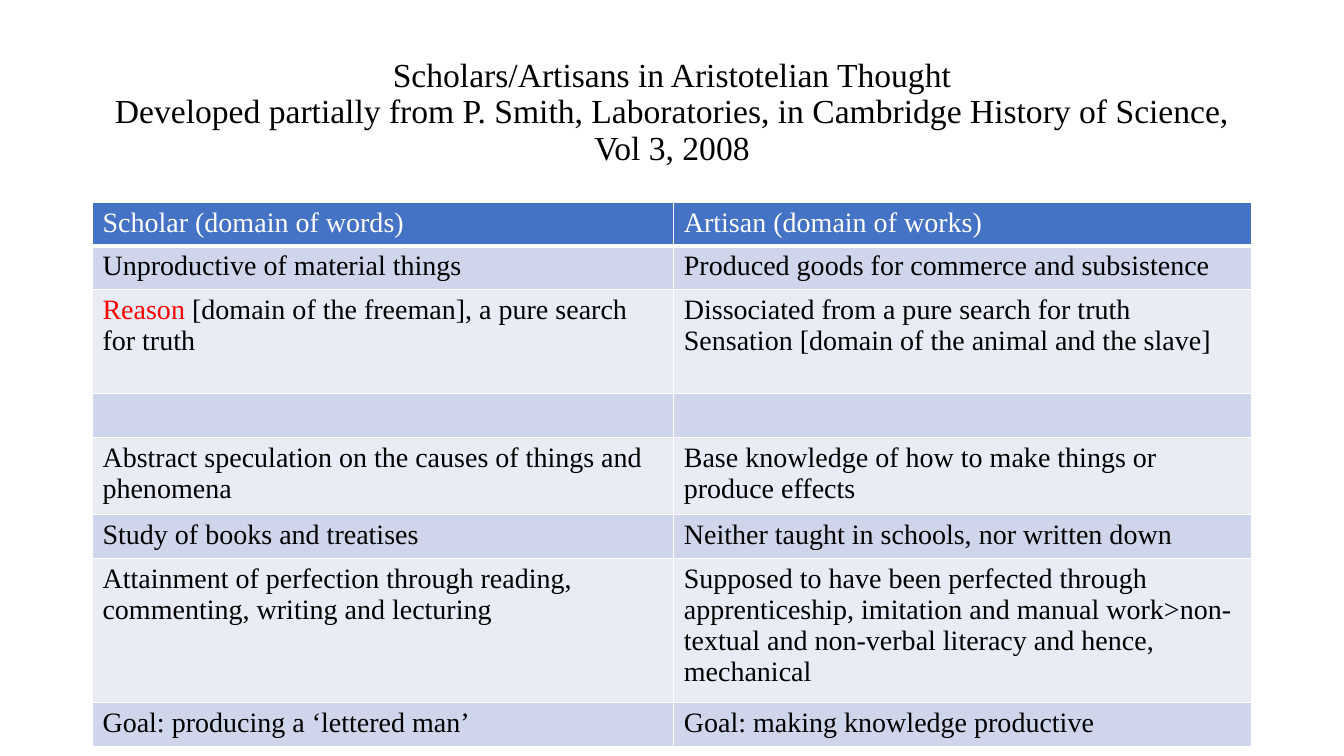
"""Builds a slide comparing scholars and artisans in Aristotelian thought."""
from dataclasses import dataclass

from lxml.etree import SubElement
from pptx import Presentation
from pptx.dml.color import RGBColor as RGB
from pptx.enum.text import MSO_ANCHOR as ANCHOR, PP_ALIGN as ALIGN
from pptx.oxml.ns import qn
from pptx.util import Cm, Pt

FONT = "Times New Roman"
COLORS = {
    "header": "4472C4",
    "dark_band": "CFD5EA",
    "light_band": "E9EBF5",
    "white": "FFFFFF",
    "black": "000000",
    "red": "FF0000",
}
TITLE = (
    "Scholars/Artisans in Aristotelian Thought\n"
    "Developed partially from P. Smith, Laboratories, "
    "in Cambridge History of Science, Vol 3, 2008"
)
COLUMN_WIDTHS = (14.65, 14.55)


@dataclass(frozen=True)
class Contrast:
    scholar: str
    artisan: str
    height: float = 1.03
    keyword: str = ""


CONTRASTS = [
    Contrast("Scholar (domain of words)", "Artisan (domain of works)"),
    Contrast("Unproductive of material things",
             "Produced goods for commerce and subsistence"),
    Contrast(" [domain of the freeman], a pure search for truth",
             "Dissociated from a pure search for truth "
             "Sensation [domain of the animal and the slave]",
             2.62, keyword="Reason"),
    Contrast("", ""),
    Contrast("Abstract speculation on the causes of things and phenomena",
             "Base knowledge of how to make things or produce effects", 1.82),
    Contrast("Study of books and treatises",
             "Neither taught in schools, nor written down"),
    Contrast("Attainment of perfection through reading, "
             "commenting, writing and lecturing",
             "Supposed to have been perfected through apprenticeship, "
             "imitation and manual work>non-textual and non-verbal literacy "
             "and hence, mechanical", 3.4),
    Contrast("Goal: producing a ‘lettered man’",
             "Goal: making knowledge productive"),
]


def style_run(r, size: int, color: str) -> None:
    r.font.name = FONT
    r.font.size = Pt(size)
    r.font.bold = False
    r.font.color.rgb = RGB.from_string(COLORS[color])


def add_title(slide) -> None:
    sp = slide.shapes.add_textbox(Cm(2.33), Cm(1.01), Cm(29.21), Cm(3.68))
    tf = sp.text_frame
    tf.word_wrap = True
    tf.vertical_anchor = ANCHOR.MIDDLE
    p = tf.paragraphs[0]
    p.text = TITLE
    p.alignment = ALIGN.CENTER
    p.line_spacing = 0.9
    for r in p.runs:
        style_run(r, 24, "black")


def set_borders(cell, bottom: int) -> None:
    tc_pr = cell._tc.get_or_add_tcPr()
    for side, width in (("L", 1), ("R", 1), ("T", 1), ("B", bottom)):
        ln = SubElement(tc_pr, qn(f"a:ln{side}"), w=str(Pt(width)))
        fill = SubElement(ln, qn("a:solidFill"))
        SubElement(fill, qn("a:srgbClr"), val=COLORS["white"])


def fill_cell(cell, text: str, keyword: str, row: int) -> None:
    set_borders(cell, 1 if row else 3)
    band = "dark_band" if row % 2 else "light_band"
    cell.fill.solid()
    cell.fill.fore_color.rgb = RGB.from_string(COLORS[band if row else "header"])
    p = cell.text_frame.paragraphs[0]
    p.font.size = Pt(20)
    p.font.name = FONT
    for part, color in ((keyword, "red"), (text, "black" if row else "white")):
        if part:
            r = p.add_run()
            r.text = part
            style_run(r, 20, color)


def add_comparison(slide) -> None:
    frame = slide.shapes.add_table(
        len(CONTRASTS), len(COLUMN_WIDTHS), Cm(2.33), Cm(5.09),
        Cm(sum(COLUMN_WIDTHS)), Cm(sum(c.height for c in CONTRASTS)))
    table = frame.table
    table.first_row = False
    table.horz_banding = False
    for column, width in zip(table.columns, COLUMN_WIDTHS):
        column.width = Cm(width)
    for i, contrast in enumerate(CONTRASTS):
        table.rows[i].height = Cm(contrast.height)
        fill_cell(table.cell(i, 0), contrast.scholar, contrast.keyword, i)
        fill_cell(table.cell(i, 1), contrast.artisan, "", i)


def main() -> None:
    prs = Presentation()
    prs.slide_width, prs.slide_height = Cm(33.87), Cm(19.05)
    slide = prs.slides.add_slide(prs.slide_layouts[6])
    add_title(slide)
    add_comparison(slide)
    prs.save("out.pptx")


if __name__ == "__main__":
    main()
